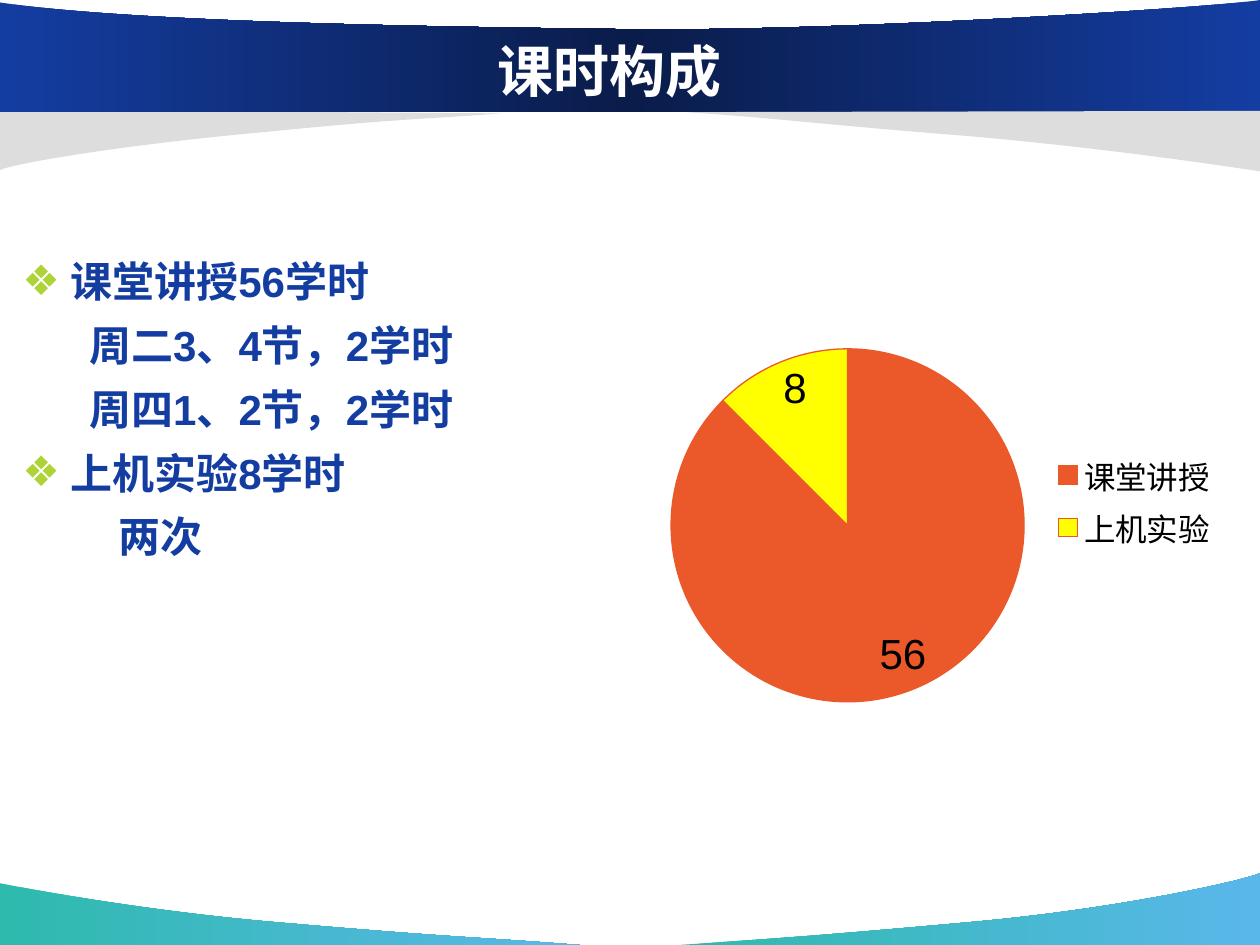
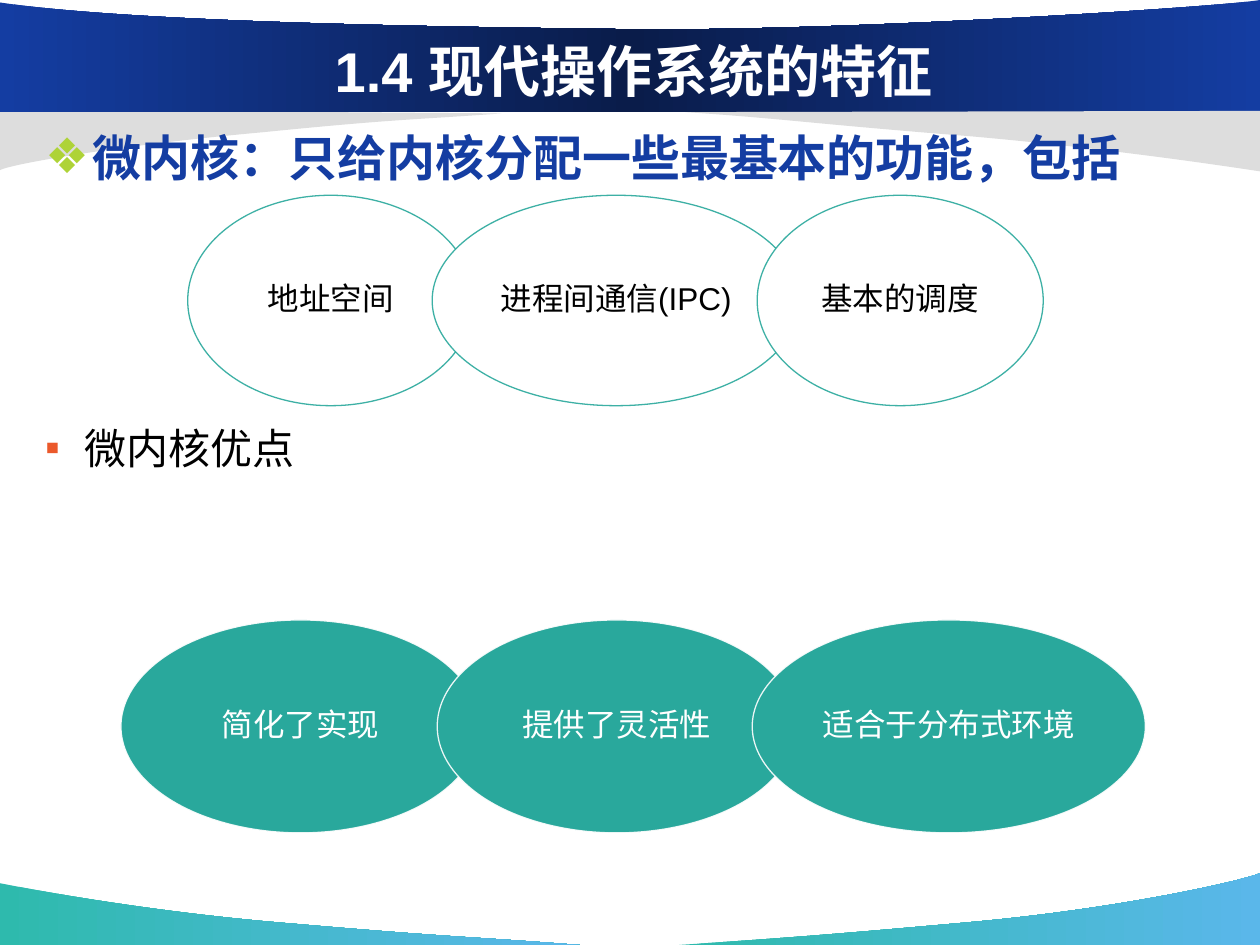
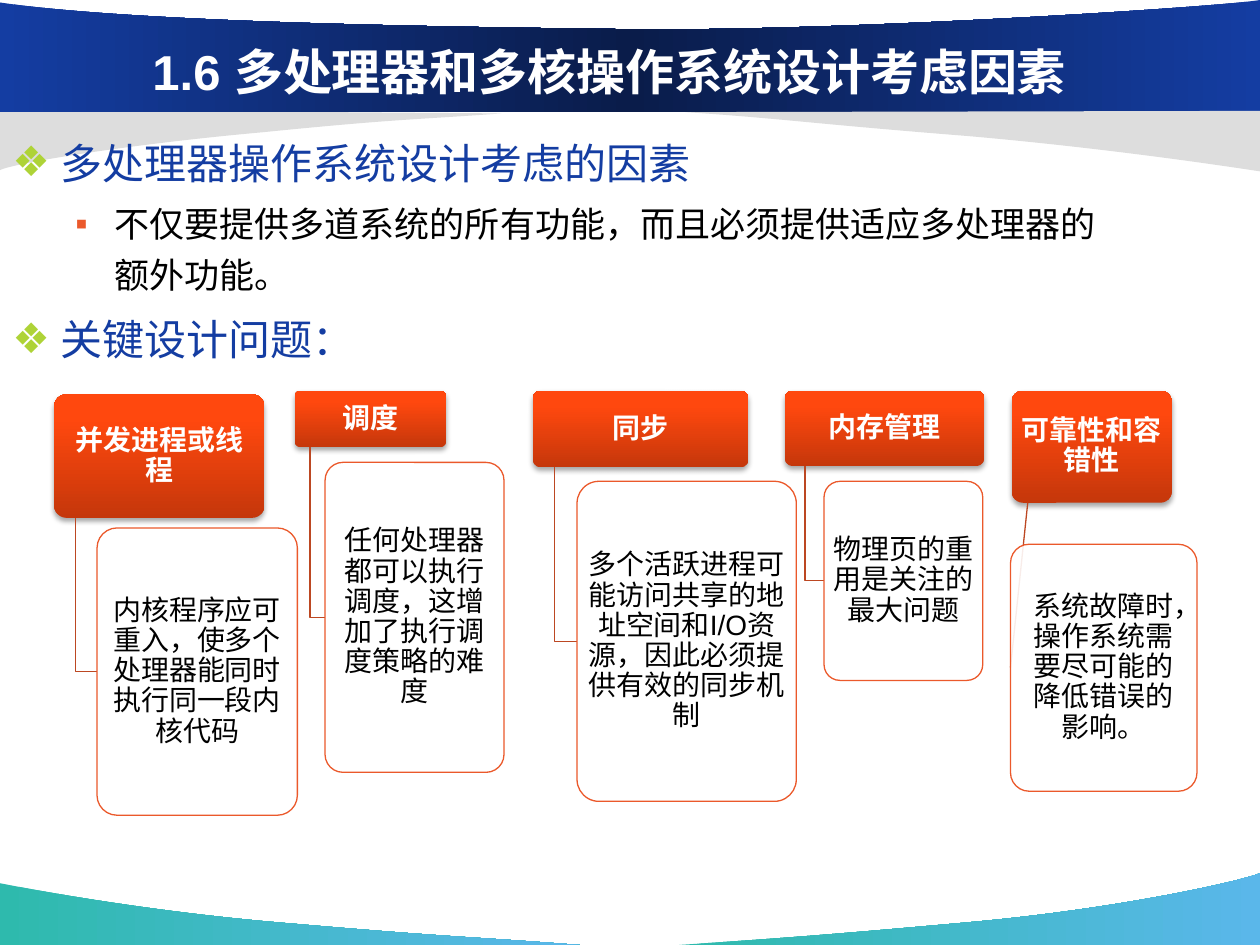
"""Build three operating-system course slides with a shared curved banner."""
from dataclasses import dataclass

from lxml.etree import SubElement
from pptx import Presentation
from pptx.chart.data import CategoryChartData
from pptx.dml.color import RGBColor
from pptx.enum.chart import XL_CHART_TYPE as ChartType
from pptx.enum.chart import XL_LABEL_POSITION as LabelPosition
from pptx.enum.chart import XL_LEGEND_POSITION as LegendPosition
from pptx.enum.shapes import MSO_CONNECTOR as Connector
from pptx.enum.shapes import MSO_SHAPE as Shape
from pptx.enum.text import MSO_ANCHOR as Anchor
from pptx.enum.text import PP_ALIGN as Align
from pptx.oxml.ns import qn
from pptx.util import Inches, Pt

WIDTH, HEIGHT = Inches(10), Inches(7.5)
COL, ROW = WIDTH / 10, HEIGHT / 7.5
FONT = "Arial"
COLORS = {
    "white": "FFFFFF", "black": "000000", "navy": "143DA2", "deep": "0A1C4A",
    "silver": "DDDDDD", "mint": "2EBAAD", "sky": "5AB7EA", "teal": "29A89C",
    "lime": "AED337", "orange": "EB592B", "yellow": "FFFF00", "rust": "BC4722",
    "ember": "C5370B", "flame": "FF480E", "blaze": "FF4910",
}
FOOTER_STOPS = [(0, "mint"), (100, "sky")]
BANNER_STOPS = [(0, "navy"), (50, "deep"), (100, "navy")]
HEAD_STOPS = [(0, "ember"), (80, "flame"), (100, "blaze")]

BACKDROP = [
    (FOOTER_STOPS, [(4.6, 7.5), (3.84, 7.44, 3.58, 7.44, 2.32, 7.33),
                    (1.06, 7.23, 0.01, 7.01, 0, 7.01), (0, 7.5)]),
    (FOOTER_STOPS, [(5.39, 7.5), (6.14, 7.45, 6.46, 7.43, 7.69, 7.32),
                    (8.92, 7.21, 9.9, 6.98, 10, 6.93), (10, 7.5)]),
    ("silver", [(3.98, 0.9), (3.31, 0.95, 3.18, 0.94, 2.08, 1.05),
                (0.97, 1.15, 0.09, 1.3, 0, 1.35), (0, 0.87)]),
    (BANNER_STOPS, [(0, 0.89), (10, 0.89), (10, 0),
                    (9.64, 0.06, 6.53, 0.26, 4.87, 0.23),
                    (3.21, 0.21, 1.01, 0.17, 0, 0.02)]),
    ("silver", [(5.44, 0.89), (6.2, 0.94, 6.42, 0.98, 7.68, 1.08),
                (8.94, 1.19, 9.99, 1.36, 10, 1.36), (10, 0.88)]),
]

ISSUES = [
    ("并发进程或线程", (0.43, 3.13, 1.67, 0.98),
     "内核程序应可重入，使多个处理器能同时执行同一段内核代码", (0.77, 4.19, 1.59, 2.28)),
    ("调度", (2.34, 3.1, 1.2, 0.45),
     "任何处理器都可以执行调度，这增加了执行调度策略的难度", (2.58, 3.67, 1.42, 2.46)),
    ("同步", (4.23, 3.1, 1.71, 0.61),
     "多个活跃进程可能访问共享的地址空间和I/O资源，因此必须提供有效的同步机制",
     (4.58, 3.82, 1.74, 2.54)),
    ("内存管理", (6.23, 3.1, 1.58, 0.6),
     "物理页的重用是关注的最大问题", (6.54, 3.82, 1.26, 1.58)),
    ("可靠性和容错性", (8.03, 3.1, 1.27, 0.89),
     "系统故障时，操作系统需要尽可能的降低错误的影响。", (8.02, 4.32, 1.48, 1.96)),
]


@dataclass
class Point:
    """One line of body text with its bullet and indent."""
    text: str
    size: int = 24
    color: str = "navy"
    bold: bool = False
    bullet: str = "❖"
    bullet_color: str = "lime"
    margin: float = 0.38
    hanging: float = 0.38
    before: float = 0.2


def rgb(name):
    """Return the named colour."""
    return RGBColor.from_string(COLORS[name])


def place(x, y, w, h):
    """Turn columns and rows into a position and size."""
    return int(x * COL), int(y * ROW), int(w * COL), int(h * ROW)


def paint(shape, fill, line=None, angle=0):
    """Fill a shape with a colour or gradient stops and set its outline."""
    shape.shadow.inherit = False
    if fill is None:
        shape.fill.background()
    elif isinstance(fill, str):
        shape.fill.solid()
        shape.fill.fore_color.rgb = rgb(fill)
    else:
        shape.fill.gradient()
        shape.fill.gradient_angle = angle
        stops = shape._element.spPr.find(".//" + qn("a:gsLst"))
        for stop in list(stops):
            stops.remove(stop)
        for share, name in fill:
            stop = SubElement(stops, qn("a:gs"), pos=str(share * 1000))
            SubElement(stop, qn("a:srgbClr"), val=COLORS[name])
    if line:
        shape.line.color.rgb = rgb(line)
        shape.line.width = Pt(0.75)
    else:
        shape.line.fill.background()


def fade(holder, percent):
    """Give the solid fill inside a shape's properties or line an opacity."""
    tint = holder.find(qn("a:solidFill")).find(qn("a:srgbClr"))
    SubElement(tint, qn("a:alpha"), val=str(percent * 1000))


def style(font, size, color, bold=False):
    """Set a font's face, size, colour and weight."""
    font.name, font.size, font.bold = FONT, Pt(size), bold
    font.color.rgb = rgb(color)


def draw_outline(slide, segments, closed=True):
    """Draw a freeform from points and cubic curves."""
    ends = [(x * COL, y * ROW) for x, y in (segment[-2:] for segment in segments)]
    builder = slide.shapes.build_freeform(*ends[0])
    builder.add_line_segments(ends[1:], close=closed)
    outline = builder.convert_to_shape()
    strokes = outline._element.spPr.findall(".//" + qn("a:lnTo"))
    for segment, stroke in zip(segments[1:], strokes):
        if len(segment) == 6:
            stroke.tag = qn("a:cubicBezTo")
            handles = [SubElement(stroke, qn("a:pt"),
                                  x=str(round(x * COL) - outline.left),
                                  y=str(round(y * ROW) - outline.top))
                       for x, y in (segment[:2], segment[2:4])]
            for index, handle in enumerate(handles):
                stroke.insert(index, handle)
    return outline


def add_label(shape, text, size, color, bold=False, insets=(6.5, 2)):
    """Write centred text inside a shape."""
    frame = shape.text_frame
    frame.word_wrap = True
    frame.vertical_anchor = Anchor.MIDDLE
    frame.margin_left = frame.margin_right = Pt(insets[0])
    frame.margin_top = frame.margin_bottom = Pt(insets[1])
    frame.text = text
    paragraph = frame.paragraphs[0]
    paragraph.alignment = Align.CENTER
    paragraph.line_spacing = 0.9
    style(paragraph.runs[0].font, size, color, bold)


def start_slide(deck, title, area=(0.92, 0.25, 7.83, 0.62), size=32):
    """Add a slide with the curved backdrop and its title."""
    slide = deck.slides.add_slide(deck.slide_layouts[6])
    for fill, segments in BACKDROP:
        paint(draw_outline(slide, segments), fill)
    heading = slide.shapes.add_textbox(*place(*area))
    add_label(heading, title, size, "white", True, (7.2, 3.6))
    heading.text_frame.paragraphs[0].line_spacing = 1.0
    return slide


def add_points(slide, area, points, spacing):
    """Write the body text with coloured bullets."""
    frame = slide.shapes.add_textbox(*place(*area)).text_frame
    frame.word_wrap = True
    for index, point in enumerate(points):
        paragraph = frame.add_paragraph() if index else frame.paragraphs[0]
        paragraph.text = point.text
        paragraph.line_spacing = spacing
        paragraph.space_before = Pt(point.size * point.before if index else 0)
        props = paragraph._p.get_or_add_pPr()
        props.set("marL", str(Inches(point.margin)))
        props.set("indent", str(-Inches(point.hanging)))
        if point.bullet:
            tint = SubElement(props, qn("a:buClr"))
            SubElement(tint, qn("a:srgbClr"), val=COLORS[point.bullet_color])
            SubElement(props, qn("a:buFont"), typeface=FONT)
            SubElement(props, qn("a:buChar"), char=point.bullet)
        style(paragraph.runs[0].font, point.size, point.color, point.bold)


def add_hours_pie(slide, area, hours):
    """Chart the teaching hours as a pie with a legend."""
    data = CategoryChartData()
    data.categories = list(hours)
    data.add_series("Series 1", list(hours.values()))
    chart = slide.shapes.add_chart(ChartType.PIE, *place(*area), data).chart
    chart.has_title = False
    style(chart.font, 18, "black")
    chart.has_legend = True
    chart.legend.position = LegendPosition.RIGHT
    chart.legend.include_in_layout = False
    plot = chart.plots[0]
    plot.vary_by_categories = True
    for index, color in enumerate(("orange", "yellow")):
        wedge = plot.series[0].points[index].format
        wedge.fill.solid()
        wedge.fill.fore_color.rgb = rgb(color)
        wedge.line.color.rgb = rgb("orange")
        wedge.line.width = Pt(0.75)
    plot.has_data_labels = True
    labels = plot.data_labels
    labels.show_value, labels.show_percentage = True, False
    labels.position = LabelPosition.BEST_FIT
    style(labels.font, 24, "black")
    plot_area = chart._chartSpace.find(".//" + qn("c:plotArea"))
    for stale in plot_area.findall(qn("c:layout")):
        plot_area.remove(stale)
    layout = SubElement(plot_area, qn("c:layout"))
    plot_area.insert(0, layout)
    manual = SubElement(layout, qn("c:manualLayout"))
    for tag, value in (("layoutTarget", "inner"), ("xMode", "edge"), ("yMode", "edge"),
                       ("x", 0.03), ("y", 0.15), ("w", 0.62), ("h", 0.81)):
        SubElement(manual, qn("c:" + tag), val=str(value))


def add_ellipses(slide, top, height, members, fill, line, ink):
    """Draw a row of overlapping labelled ellipses."""
    for text, left, width in members:
        ellipse = slide.shapes.add_shape(Shape.OVAL, *place(left, top, width, height))
        paint(ellipse, fill, line)
        fade(ellipse._element.spPr.find(qn("a:ln")), 90)
        add_label(ellipse, text, 18, ink)


def add_card(slide, area, text, fill, line, ink, bold=False):
    """Draw a rounded card with centred text."""
    card = slide.shapes.add_shape(Shape.ROUNDED_RECTANGLE, *place(*area))
    card.adjustments[0] = 0.1
    paint(card, fill, line, 90)
    add_label(card, text, 16, ink, bold, (2.5, 1.5))
    return card


def add_link(slide, head_area, detail_area):
    """Join a head to the middle of its detail card's left side."""
    x, y, w, h = head_area
    left, top, _, height = detail_area
    stem, bottom, middle = x + w / 10, y + h, top + height / 2
    if left > stem:
        link = draw_outline(slide, [(stem, bottom), (stem, middle), (left, middle)], False)
        paint(link, None, "rust")
    else:
        link = slide.shapes.add_connector(
            Connector.STRAIGHT, int(stem * COL), int(bottom * ROW),
            int(left * COL), int(middle * ROW))
        link.line.color.rgb = rgb("rust")
        link.line.width = Pt(0.75)
        SubElement(link._element.spPr, qn("a:effectLst"))


def add_issue(slide, head, head_area, detail, detail_area):
    """Draw a design issue: shaded head, link and detail card."""
    heading = add_card(slide, head_area, head, HEAD_STOPS, None, "white", True)
    effects = heading._element.spPr.find(qn("a:effectLst"))
    shadow = SubElement(effects, qn("a:outerShdw"), blurRad=str(Pt(3.1)),
                        dist=str(Pt(1.8)), dir="5400000", rotWithShape="0")
    tint = SubElement(shadow, qn("a:srgbClr"), val=COLORS["black"])
    SubElement(tint, qn("a:alpha"), val="35000")
    add_link(slide, head_area, detail_area)
    card = add_card(slide, detail_area, detail, "white", "orange", "black")
    fade(card._element.spPr, 90)


def build_hours(deck):
    """Build the slide on course hours."""
    slide = start_slide(deck, "课时构成")
    sub = {"bold": True, "bullet": "", "hanging": 0}
    add_points(slide, (0.08, 1.94, 5.2, 4.57), [
        Point("课堂讲授56学时", bold=True),
        Point("周二3、4节，2学时", margin=0.53, **sub),
        Point("周四1、2节，2学时", margin=0.53, **sub),
        Point("上机实验8学时", bold=True),
        Point("两次", margin=0.76, **sub),
    ], 1.1)
    add_hours_pie(slide, (5.16, 2.25, 4.61, 3.46), {"课堂讲授": 56, "上机实验": 8})


def build_microkernel(deck):
    """Build the slide on the microkernel."""
    slide = start_slide(deck, "1.4 现代操作系统的特征", (0.75, 0.21, 8.56, 0.7))
    add_points(slide, (0.26, 1.05, 9.74, 4.33), [
        Point("微内核：只给内核分配一些最基本的功能，包括", 28, bold=True),
        Point("微内核优点", color="black", bullet="▪", bullet_color="orange",
              margin=0.31, hanging=0.31, before=5.87),
    ], 0.8)
    add_ellipses(slide, 1.55, 1.67, [
        ("地址空间", 1.49, 2.27), ("进程间通信(IPC)", 3.43, 2.92), ("基本的调度", 6.01, 2.27),
    ], "white", "teal", "black")
    add_ellipses(slide, 4.92, 1.69, [
        ("简化了实现", 0.96, 2.85), ("提供了灵活性", 3.47, 2.85), ("适合于分布式环境", 5.97, 3.12),
    ], "teal", "white", "white")


def build_multicore(deck):
    """Build the slide on multiprocessor design issues."""
    slide = start_slide(deck, "1.6 多处理器和多核操作系统设计考虑因素", size=28)
    add_points(slide, (0, 0.96, 8.92, 4.67), [
        Point("多处理器操作系统设计考虑的因素"),
        Point("不仅要提供多道系统的所有功能，而且必须提供适应多处理器的额外功能。", 20, "black",
              bullet="▪", bullet_color="orange", margin=0.81, hanging=0.31),
        Point("关键设计问题："),
    ], 1.2)
    for issue in ISSUES:
        add_issue(slide, *issue)


def main():
    """Build and save the deck."""
    deck = Presentation()
    deck.slide_width, deck.slide_height = WIDTH, HEIGHT
    build_hours(deck)
    build_microkernel(deck)
    build_multicore(deck)
    deck.save("out.pptx")


if __name__ == "__main__":
    main()
